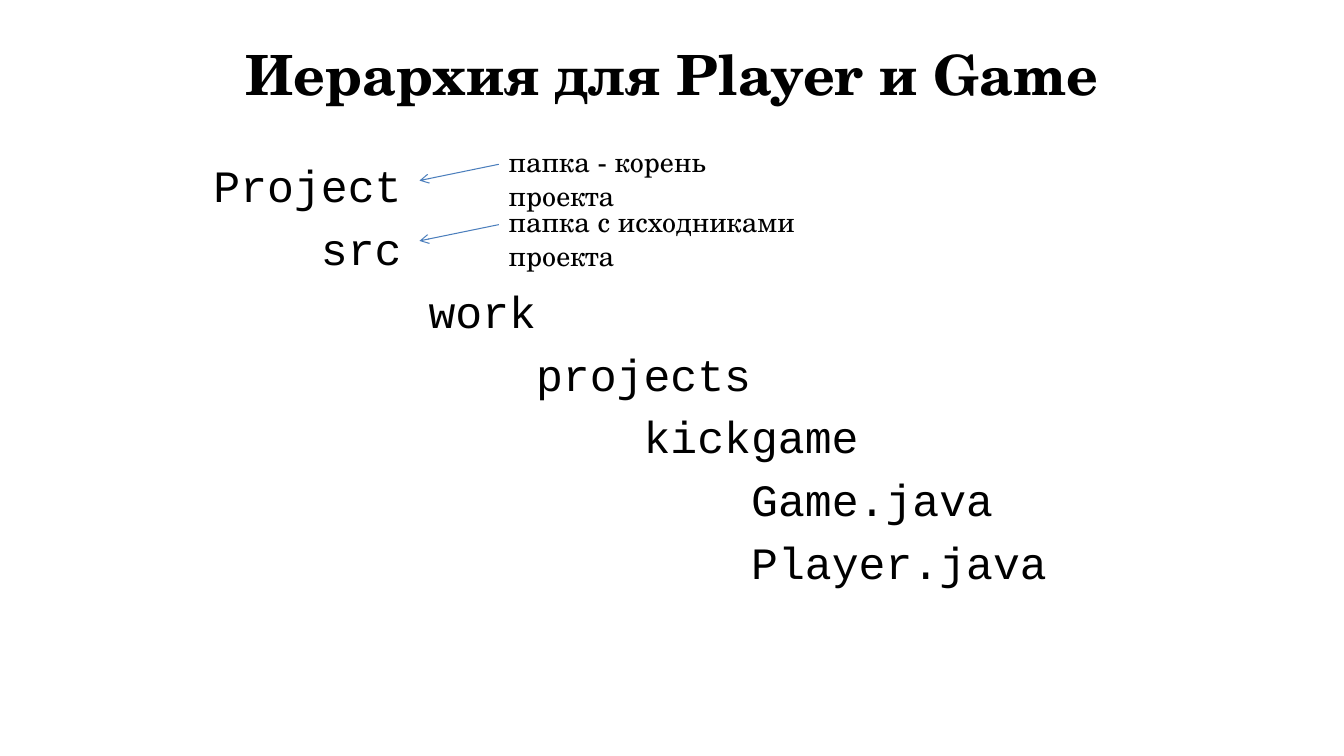
from lxml.etree import SubElement
from pptx import Presentation
from pptx.dml.color import RGBColor
from pptx.enum.shapes import MSO_CONNECTOR
from pptx.enum.text import MSO_ANCHOR, PP_ALIGN
from pptx.oxml.ns import qn
from pptx.util import Cm, Pt

BLACK = RGBColor(0x00, 0x00, 0x00)
BLUE = RGBColor(0x4B, 0x7E, 0xBC)
SERIF = "TeX Gyre Schola"
MONO = "Courier New"

HEAD = "Иерархия для Player и Game"
TREE = [
    ("Project", 0),
    ("src", 1),
    ("work", 2),
    ("projects", 3),
    ("kickgame", 4),
    ("Game.java", 5),
    ("Player.java", 5),
]
NOTES = [
    ("папка - корень проекта", 8.23),
    ("папка с исходниками проекта", 10.44),
]
STEP = 2.71
NOTE_X, NOTE_Y, NOTE_GAP = 12.57, 3.52, 1.52
TIP_X = 10.57


def write(para, text, font=SERIF, size=20, bold=False, align=PP_ALIGN.LEFT):
    para.alignment = align
    run = para.add_run()
    run.text = text
    run.font.name = font
    run.font.size = Pt(size)
    run.font.bold = bold
    run.font.color.rgb = BLACK


def add_box(slide, left, top, width, height):
    box = slide.shapes.add_textbox(Cm(left), Cm(top), Cm(width), Cm(height))
    box.text_frame.word_wrap = True
    return box.text_frame


def add_title(slide):
    title = slide.shapes.title
    title.left, title.top = Cm(5.51), Cm(0.76)
    title.width, title.height = Cm(22.86), Cm(2.16)
    title.text_frame.vertical_anchor = MSO_ANCHOR.MIDDLE
    write(title.text_frame.paragraphs[0], HEAD, size=39.6, bold=True,
          align=PP_ALIGN.CENTER)


def add_tree(slide):
    frame = add_box(slide, 5.13, 3.86, 22.86, 12.57)
    for row, (name, depth) in enumerate(TREE):
        para = frame.add_paragraph() if row else frame.paragraphs[0]
        write(para, name, font=MONO, size=32)
        props = para._p.get_or_add_pPr()
        props.set("marL", str(Cm(depth * STEP)))
        props.set("indent", "0")
        space = SubElement(props, qn("a:spcBef"))
        SubElement(space, qn("a:spcPct")).set("val", "20000")


def add_arrow(slide, top):
    arrow = slide.shapes.add_connector(
        MSO_CONNECTOR.STRAIGHT,
        Cm(NOTE_X), Cm(top), Cm(TIP_X), Cm(top + 0.41))
    arrow.line.color.rgb = BLUE
    arrow.line.width = Pt(0.75)
    SubElement(arrow.line._get_or_add_ln(), qn("a:tailEnd")).set("type", "arrow")
    SubElement(arrow._element.spPr, qn("a:effectLst"))


def add_notes(slide):
    for row, (text, width) in enumerate(NOTES):
        top = NOTE_Y + row * NOTE_GAP
        add_arrow(slide, top + 0.62)
        frame = add_box(slide, NOTE_X, top, width, 1.12)
        write(frame.paragraphs[0], text)


def main():
    deck = Presentation()
    deck.slide_width, deck.slide_height = Cm(33.87), Cm(19.05)
    slide = deck.slides.add_slide(deck.slide_layouts[5])
    add_title(slide)
    add_tree(slide)
    add_notes(slide)
    deck.save("out.pptx")


if __name__ == "__main__":
    main()
